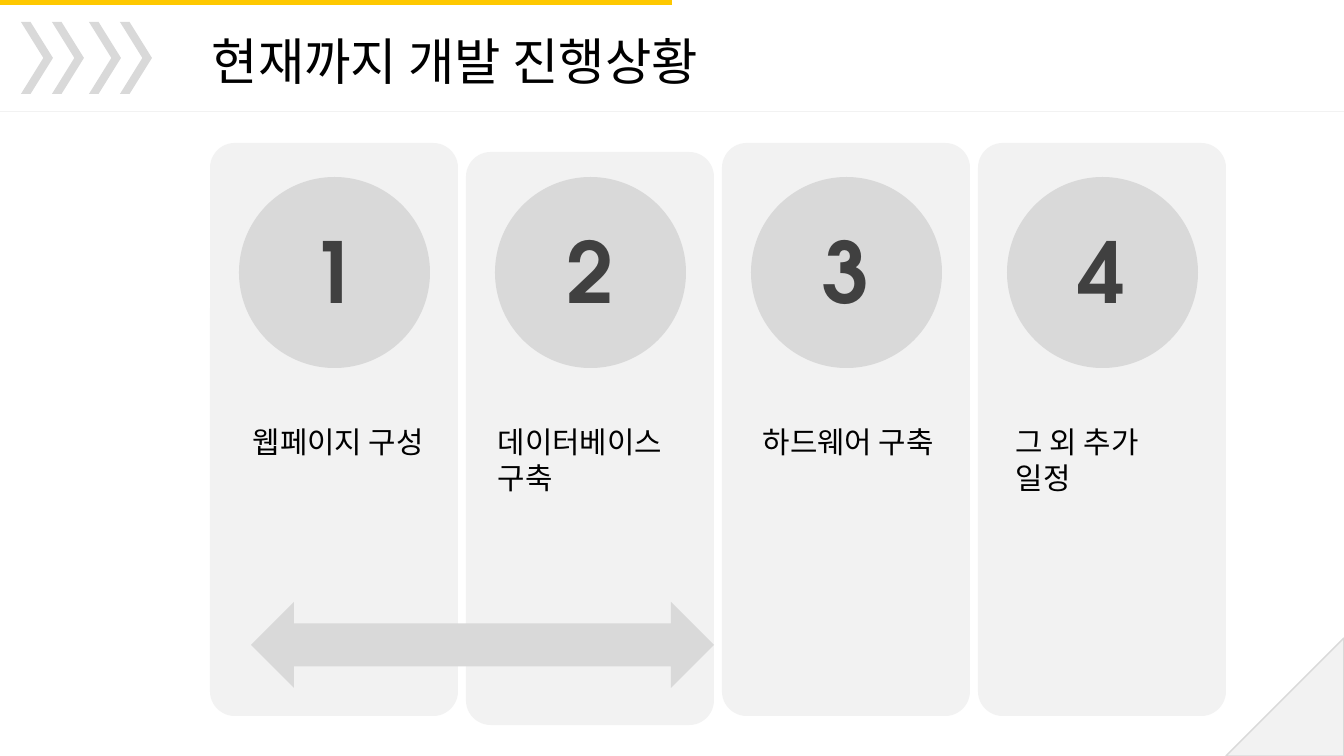
from pptx import Presentation
from pptx.dml.color import RGBColor
from pptx.enum.shapes import MSO_CONNECTOR, MSO_SHAPE
from pptx.enum.text import MSO_ANCHOR, PP_ALIGN
from pptx.oxml.ns import qn
from pptx.util import Pt
from lxml import etree

RECT = MSO_SHAPE.RECTANGLE
ROUND = MSO_SHAPE.ROUNDED_RECTANGLE
OVAL = MSO_SHAPE.OVAL
CHEVRON = MSO_SHAPE.CHEVRON
ARROW = MSO_SHAPE.LEFT_RIGHT_ARROW
CORNER = MSO_SHAPE.RIGHT_TRIANGLE
STRAIGHT = MSO_CONNECTOR.STRAIGHT
TOP = MSO_ANCHOR.TOP
LEFT, CENTER, RIGHT = PP_ALIGN.LEFT, PP_ALIGN.CENTER, PP_ALIGN.RIGHT

SCALE = 914400 / 100.8
PALE, GRAY, DARK = "F2F2F2", "D9D9D9", "404040"
GOLD, BLACK = "FEC800", "000000"
SANS, ROUNDED = "Calibri", "TeX Gyre Adventor"
PITCH = 256
STEPS = [
    ("웹페이지 구성", 143, 243),
    ("데이터베이스 구축", 152, 488),
    ("하드웨어 구축", 143, 753),
    ("그 외 추가 일정", 143, 1006),
]


def px(*nums):
    return [round(num * SCALE) for num in nums]


def color(code):
    return RGBColor.from_string(code)


def add_form(slide, kind, box, fill, adjust=None):
    form = slide.shapes.add_shape(kind, *px(*box))
    form.shadow.inherit = False
    form.fill.solid()
    form.fill.fore_color.rgb = color(fill)
    form.line.fill.background()
    if adjust is not None:
        form.adjustments[0] = adjust
    return form


def set_text(shape, text, size, font, tint, align, bold=False):
    frame = shape.text_frame
    frame.text = text
    frame.word_wrap = True
    frame.vertical_anchor = TOP
    para = frame.paragraphs[0]
    para.alignment = align
    face = para.runs[0].font
    face.size = Pt(size)
    face.name = font
    face.bold = bold
    face.color.rgb = color(tint)


def add_text(slide, box, *style):
    set_text(slide.shapes.add_textbox(*px(*box)), *style)


def add_title(slide, text):
    title = slide.shapes.title
    title.left, title.top, title.width, title.height = px(156, 25, 552, 72)
    set_text(title, text, 36, SANS, BLACK, RIGHT)


def add_rule(slide, y):
    rule = slide.shapes.add_connector(STRAIGHT, *px(0, y, 1344, y))
    rule.line.color.rgb = color(PALE)
    rule.line.width = Pt(0.5)
    etree.SubElement(rule._element.spPr, qn("a:effectLst"))


def add_corner(slide):
    fold = add_form(slide, CORNER, (1226, 638, 118, 118), PALE)
    fold.line.color.rgb = color(GRAY)
    fold.line.width = Pt(1)
    fold._element.spPr.xfrm.set("flipH", "1")


def add_card(slide, left, top):
    add_form(slide, ROUND, (left, top, 248, 573), PALE, 0.1)
    add_form(slide, OVAL, (left + 29, 177, 191, 191), GRAY)


def main():
    deck = Presentation()
    deck.slide_width, deck.slide_height = px(1344, 756)
    slide = deck.slides.add_slide(deck.slide_layouts[5])
    add_corner(slide)
    add_form(slide, RECT, (0, 0, 672, 5), GOLD)
    add_title(slide, "현재까지 개발 진행상황")
    add_rule(slide, 111)
    for left in (21, 52, 89, 120):
        add_form(slide, CHEVRON, (left, 22, 32, 72), GRAY, 0.7)
    lefts = [210 + PITCH * i for i in range(len(STEPS))]
    for left, (_, top, _) in zip(lefts, STEPS):
        add_card(slide, left, top)
    add_form(slide, ARROW, (251, 602, 463, 86), GRAY)
    for num, (left, (label, _, start)) in enumerate(zip(lefts, STEPS), 1):
        add_text(slide, (left + 82, 215, 84, 112),
                 str(num), 60, ROUNDED, DARK, CENTER, True)
        add_text(slide, (start, 419, 198, 83),
                 label, 21.3, SANS, BLACK, LEFT)
    deck.save("out.pptx")


if __name__ == "__main__":
    main()
